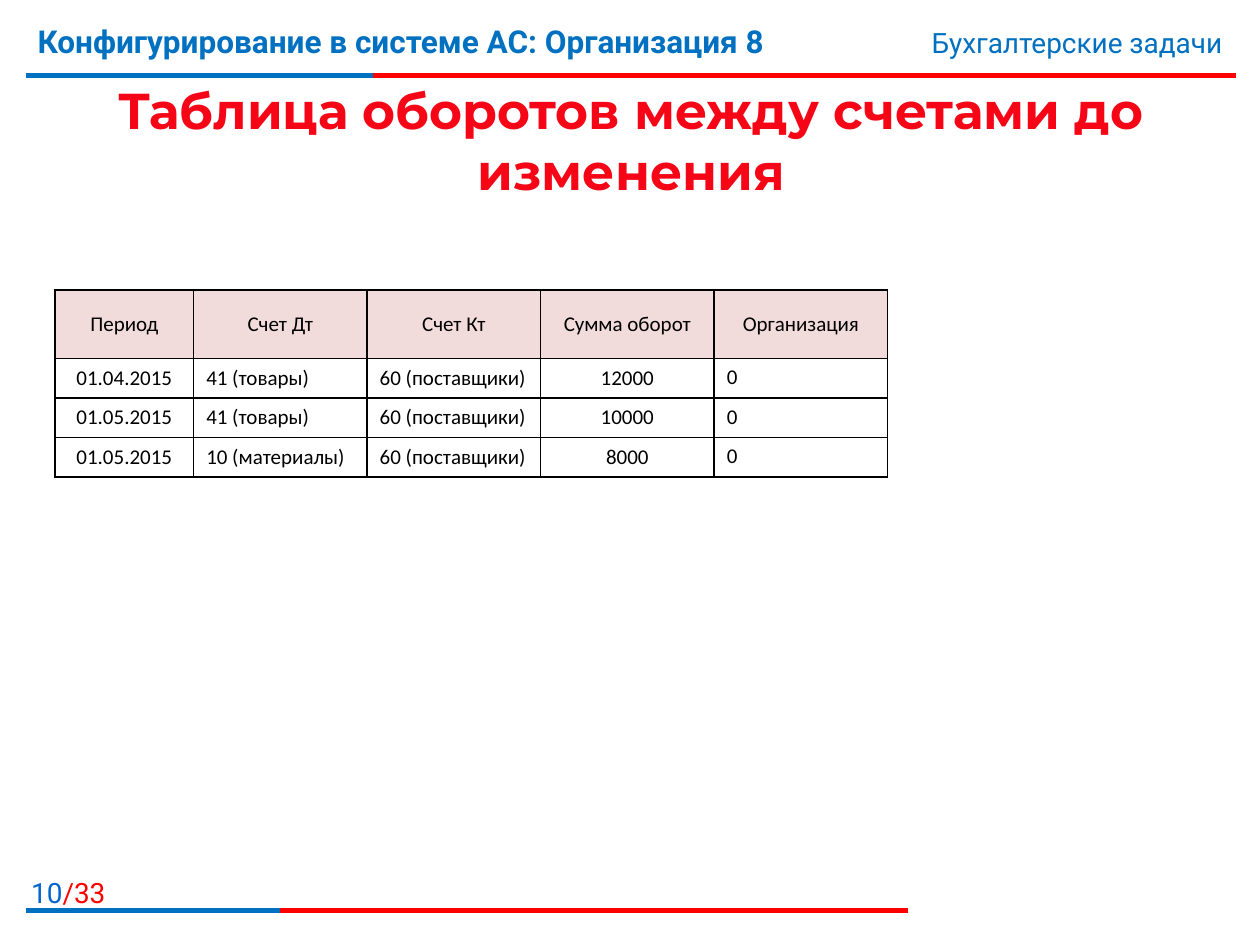
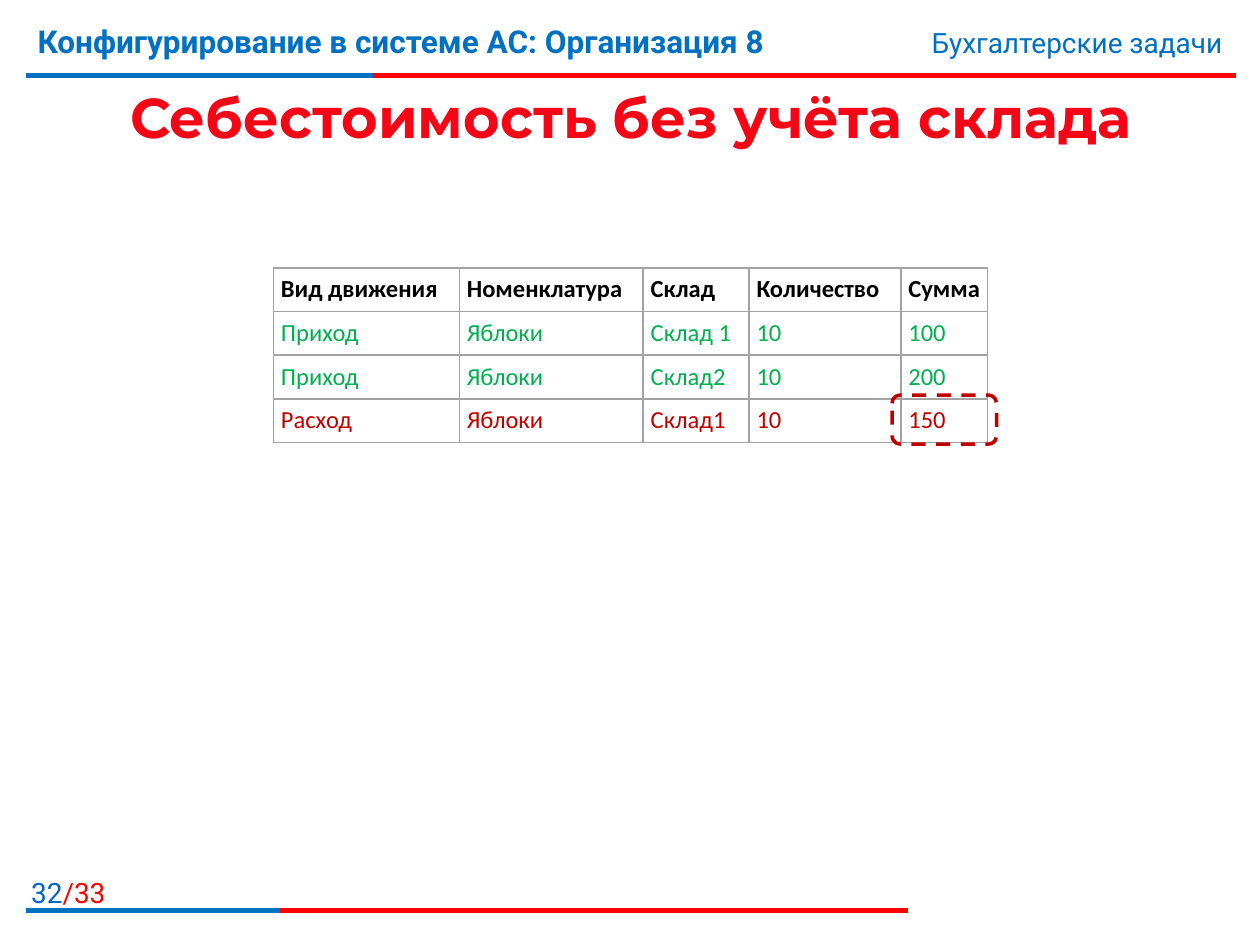
from dataclasses import dataclass

from lxml.etree import SubElement
from pptx import Presentation
from pptx.dml.color import RGBColor
from pptx.enum.dml import MSO_LINE
from pptx.enum.shapes import MSO_CONNECTOR, MSO_SHAPE
from pptx.enum.text import MSO_ANCHOR, MSO_AUTO_SIZE, PP_ALIGN
from pptx.oxml import parse_xml
from pptx.oxml.ns import nsdecls, qn
from pptx.util import Inches, Pt


@dataclass(frozen=True)
class Theme:
    blue: str = "0070C0"
    page_blue: str = "0066CC"
    red: str = "FF0000"
    title_red: str = "F50516"
    dark_red: str = "C00000"
    green: str = "00B050"
    black: str = "000000"
    gray: str = "A3A3A3"
    pink: str = "F2DCDB"
    title_font: str = "Montserrat"
    band_font: str = "Roboto"
    table_font: str = "Calibri"
    long_title_size: float = 28.8
    title_size: float = 32
    course_size: float = 18
    band_size: float = 16
    small_table_size: float = 12
    table_size: float = 14


theme = Theme()

# The slide is a grid of 100 columns and 75 rows
COLUMNS = 100
presentation = Presentation()
presentation.slide_width = Inches(10)
presentation.slide_height = Inches(7.5)


def grid(*units):
    """Turn grid units into slide lengths."""
    return [round(presentation.slide_width * unit / COLUMNS) for unit in units]


def write(paragraph, text, color, alignment=PP_ALIGN.LEFT, **formats):
    """Add one formatted run to a paragraph."""
    paragraph.alignment = alignment
    run = paragraph.add_run()
    run.text = text
    run.font.color.rgb = RGBColor.from_string(color)
    for name, value in formats.items():
        setattr(run.font, name, value)


# Shared bands: row, right end of the red line, right end of the blue line
bands = [(6, 98.1, 29.6), (72.25, 72.05, 22.2)]
band_left = 2.05
course = "Конфигурирование в системе АС: Организация 8"
topic = "Бухгалтерские задачи"
page_total = "/33"
band_format = {"name": theme.band_font, "size": Pt(theme.band_size)}
course_format = {"name": theme.band_font, "size": Pt(theme.course_size), "bold": True}

# Contents of the two slides; each table takes a range of rows and of columns
slides = [
    {
        "page": "10",
        "title": "Таблица оборотов между счетами до изменения",
        "title_size": theme.long_title_size,
        "title_height": 9.7,
        "origin": (4.37, 23),
        "columns": [11] + [13.77] * 4,
        "rows": [5.45] + [3.13] * 3,
        "tables": [(range(row, row + 1), range(4)) for row in range(4)]
                  + [(range(1), range(4, 5)), (range(1, 4), range(4, 5))],
        "border": theme.black,
        "header_fill": theme.pink,
        "text_size": theme.small_table_size,
        "header_bold": False,
        "header_alignment": PP_ALIGN.CENTER,
        "alignments": [PP_ALIGN.CENTER, PP_ALIGN.LEFT, PP_ALIGN.LEFT,
                       PP_ALIGN.CENTER, PP_ALIGN.LEFT],
        "anchors": [MSO_ANCHOR.MIDDLE] * 4 + [MSO_ANCHOR.TOP],
        "row_colors": [theme.black] * 4,
        "margins": (1, 0.5),
        "cells": [
            ["Период", "Счет Дт", "Счет Кт", "Сумма оборот", "Организация"],
            ["01.04.2015", "41 (товары)", "60 (поставщики)", "12000", "0"],
            ["01.05.2015", "41 (товары)", "60 (поставщики)", "10000", "0"],
            ["01.05.2015", "10 (материалы)", "60 (поставщики)", "8000", "0"],
        ],
    },
    {
        "page": "32",
        "title": "Себестоимость без учёта склада",
        "title_size": theme.title_size,
        "title_height": 6,
        "origin": (21.7, 21.25),
        "columns": [14.75, 14.6, 8.4, 12.05, 6.9],
        "rows": [3.47] * 4,
        "tables": [(range(4), range(5))],
        "border": theme.gray,
        "header_fill": None,
        "text_size": theme.table_size,
        "header_bold": True,
        "header_alignment": PP_ALIGN.LEFT,
        "alignments": [PP_ALIGN.LEFT] * 5,
        "anchors": [MSO_ANCHOR.TOP] * 5,
        "row_colors": [theme.black, theme.green, theme.green, theme.dark_red],
        "margins": (0.6, 0.54),
        "cells": [
            ["Вид движения", "Номенклатура", "Склад", "Количество", "Сумма"],
            ["Приход", "Яблоки", "Склад 1", "10", "100"],
            ["Приход", "Яблоки", "Склад2", "10", "200"],
            ["Расход", "Яблоки", "Склад1", "10", "150"],
        ],
    },
]

for content in slides:
    slide = presentation.slides.add_slide(presentation.slide_layouts[5])

    # Band lines, blue over red
    for row, red_end, blue_end in bands:
        for end, color in ((red_end, theme.red), (blue_end, theme.blue)):
            line = slide.shapes.add_connector(
                MSO_CONNECTOR.STRAIGHT, *grid(band_left, row, end, row))
            line.line.color.rgb = RGBColor.from_string(color)
            line.line.width = Pt(3)
            SubElement(line._element.spPr, qn("a:effectLst"))

    # Header and page number
    band_texts = [
        ((2, 1.25, 74, 6.2), PP_ALIGN.LEFT, course_format, [(course, theme.blue)]),
        ((59.4, 1.5, 38.6, 3.7), PP_ALIGN.RIGHT, band_format, [(topic, theme.blue)]),
        ((0, 69, 9.35, 3.2), PP_ALIGN.RIGHT, band_format,
         [(content["page"], theme.page_blue), (page_total, theme.red)]),
    ]
    for area, alignment, formats, runs in band_texts:
        frame = slide.shapes.add_textbox(*grid(*area)).text_frame
        frame.word_wrap = True
        for text, color in runs:
            write(frame.paragraphs[0], text, color, alignment, **formats)

    # Title
    title = slide.shapes.title
    title.left, title.top, title.width, title.height = grid(
        2.05, 6.25, 96.1, content["title_height"])
    title.text_frame.auto_size = MSO_AUTO_SIZE.NONE
    title.text_frame.vertical_anchor = MSO_ANCHOR.MIDDLE
    write(title.text_frame.paragraphs[0], content["title"], theme.title_red,
          PP_ALIGN.CENTER, name=theme.title_font, size=Pt(content["title_size"]), bold=True)

    # Tables, placed edge to edge
    left, top = content["origin"]
    side_margin, end_margin = grid(*content["margins"])
    cell_format = {
        "margin_left": side_margin, "margin_right": side_margin,
        "margin_top": end_margin, "margin_bottom": end_margin,
    }
    for row_range, column_range in content["tables"]:
        widths = [content["columns"][index] for index in column_range]
        heights = [content["rows"][index] for index in row_range]
        table = slide.shapes.add_table(
            len(heights), len(widths),
            *grid(left + sum(content["columns"][:column_range.start]),
                  top + sum(content["rows"][:row_range.start]),
                  sum(widths), sum(heights))).table
        table.first_row = table.horz_banding = False
        for column, width in zip(table.columns, grid(*widths)):
            column.width = width
        for row, height in zip(table.rows, grid(*heights)):
            row.height = height

        for row_index in row_range:
            is_header = row_index == 0
            for column_index in column_range:
                cell = table.cell(row_index - row_range.start,
                                  column_index - column_range.start)
                for name, value in cell_format.items():
                    setattr(cell, name, value)
                cell.vertical_anchor = content["anchors"][0 if is_header else column_index]
                for side in ("lnL", "lnR", "lnT", "lnB"):
                    cell._tc.get_or_add_tcPr().append(parse_xml(
                        f'<a:{side} {nsdecls("a")} w="{Pt(1)}"><a:solidFill>'
                        f'<a:srgbClr val="{content["border"]}"/></a:solidFill></a:{side}>'))
                if is_header and content["header_fill"]:
                    cell.fill.solid()
                    cell.fill.fore_color.rgb = RGBColor.from_string(content["header_fill"])
                else:
                    cell.fill.background()
                alignment = (content["header_alignment"] if is_header
                             else content["alignments"][column_index])
                write(cell.text_frame.paragraphs[0],
                      content["cells"][row_index][column_index],
                      content["row_colors"][row_index], alignment,
                      name=theme.table_font, size=Pt(content["text_size"]),
                      bold=is_header and content["header_bold"])

# Dashed frame around the cost on the last slide
cost_frame = slide.shapes.add_shape(
    MSO_SHAPE.ROUNDED_RECTANGLE, *grid(70.8, 31.35, 8.3, 3.9))
cost_frame.shadow.inherit = False
cost_frame.fill.background()
cost_frame.line.color.rgb = RGBColor.from_string(theme.dark_red)
cost_frame.line.width = Pt(2)
cost_frame.line.dash_style = MSO_LINE.DASH

presentation.save("out.pptx")
